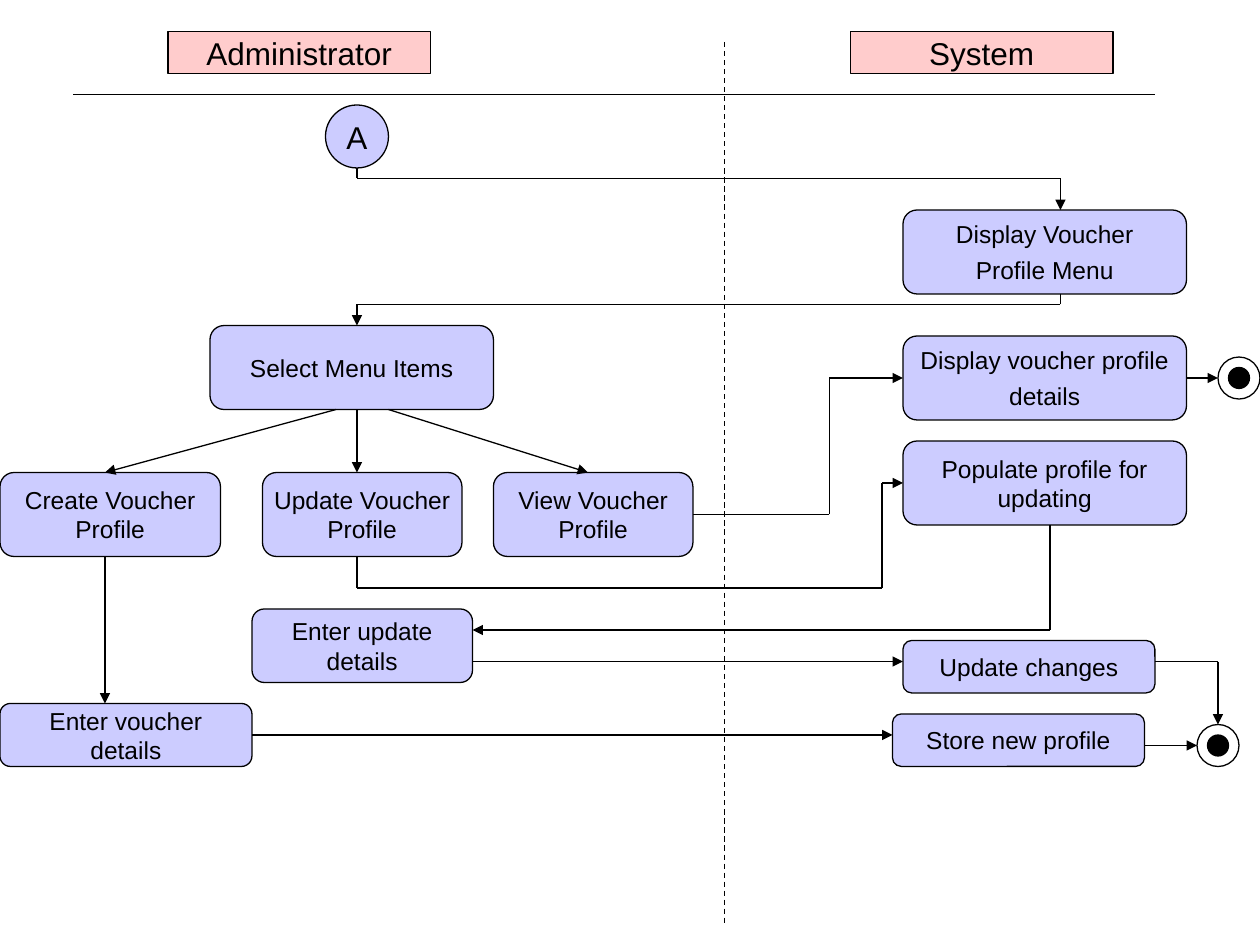
"""Build a two-lane activity diagram for voucher profile maintenance."""
from itertools import pairwise

from lxml.etree import SubElement
from pptx import Presentation
from pptx.dml.color import RGBColor
from pptx.enum.dml import MSO_LINE
from pptx.enum.shapes import MSO_CONNECTOR, MSO_SHAPE
from pptx.enum.text import MSO_ANCHOR, PP_ALIGN
from pptx.oxml.ns import qn
from pptx.util import Cm, Pt

COLORS = {"lane": "FFCCCC", "activity": "CCCCFF", "ink": "000000", "paper": "FFFFFF"}
GRID = 2.54 / 12


def add_node(kind, box, color, text="", size=14, space_before=0):
    shape = slide.shapes.add_shape(kind, *(Cm(value * GRID) for value in box))
    shape.shadow.inherit = False
    shape.fill.solid()
    shape.fill.fore_color.rgb = RGBColor.from_string(COLORS[color])
    shape.line.color.rgb = RGBColor.from_string(COLORS["ink"])
    shape.line.width = Pt(0.75)
    if not text:
        return
    frame = shape.text_frame
    frame.word_wrap = False
    frame.vertical_anchor = MSO_ANCHOR.MIDDLE
    frame.text = text
    for paragraph in frame.paragraphs:
        paragraph.alignment = PP_ALIGN.CENTER
        paragraph.font.name = "Arial"
        paragraph.font.size = Pt(size)
        paragraph.font.color.rgb = RGBColor.from_string(COLORS["ink"])
    if space_before:
        frame.paragraphs[-1].space_before = Pt(space_before)


def add_route(points, arrow=True, dashed=False):
    for start, end in pairwise(points):
        ends = (Cm(value * GRID) for value in (*start, *end))
        connector = slide.shapes.add_connector(MSO_CONNECTOR.STRAIGHT, *ends)
        connector.line.color.rgb = RGBColor.from_string(COLORS["ink"])
        connector.line.width = Pt(0.75)
        if dashed:
            connector.line.dash_style = MSO_LINE.DASH
        if arrow and end == points[-1]:
            SubElement(connector.line._get_or_add_ln(), qn("a:tailEnd"), type="triangle")
        SubElement(connector._element.spPr, qn("a:effectLst"))


presentation = Presentation()
presentation.slide_width = Cm(25.4)
presentation.slide_height = Cm(19.05)
slide = presentation.slides.add_slide(presentation.slide_layouts[6])

add_route([(69, 4), (69, 88)], arrow=False, dashed=True)
add_route([(7, 9), (110, 9)], arrow=False)
for left, lane in ((16, "Administrator"), (81, "System")):
    add_node(MSO_SHAPE.RECTANGLE, (left, 3, 25, 4), "lane", lane, 18)

add_node(MSO_SHAPE.OVAL, (31, 10, 6, 6), "activity", "A", 18)

activities = [
    ((86, 20, 27, 8), "Display Voucher\nProfile Menu", 4),
    ((20, 31, 27, 8), "Select Menu Items", 0),
    ((0, 45, 21, 8), "Create Voucher\nProfile", 0),
    ((25, 45, 19, 8), "Update Voucher\nProfile", 0),
    ((47, 45, 19, 8), "View Voucher\nProfile", 0),
    ((86, 32, 27, 8), "Display voucher profile\ndetails", 4),
    ((86, 42, 27, 8), "Populate profile for\nupdating", 0),
    ((24, 58, 21, 7), "Enter update\ndetails", 0),
    ((86, 61, 24, 5), "Update changes", 0),
    ((0, 67, 24, 6), "Enter voucher\ndetails", 0),
    ((85, 68, 24, 5), "Store new profile", 0),
]
for box, text, space_before in activities:
    add_node(MSO_SHAPE.FLOWCHART_ALTERNATE_PROCESS, box, "activity", text,
             space_before=space_before)

for left, top in ((116, 34), (114, 69)):
    add_node(MSO_SHAPE.OVAL, (left, top, 4, 4), "paper")
    add_node(MSO_SHAPE.OVAL, (left + 1, top + 1, 2, 2), "ink")

routes = [
    [(34, 16), (34, 17), (101, 17), (101, 20)],
    [(101, 28), (101, 29), (34, 29), (34, 31)],
    [(32, 39), (10, 45)],
    [(34, 39), (34, 45)],
    [(37, 39), (56, 45)],
    [(66, 49), (79, 49), (79, 36), (86, 36)],
    [(113, 36), (116, 36)],
    [(34, 53), (34, 56), (84, 56), (84, 46), (86, 46)],
    [(100, 50), (100, 60), (45, 60)],
    [(45, 63), (86, 63)],
    [(10, 53), (10, 67)],
    [(24, 70), (85, 70)],
    [(110, 63), (116, 63), (116, 69)],
    [(109, 71), (114, 71)],
]
for route in routes:
    add_route(route)

presentation.save("out.pptx")
